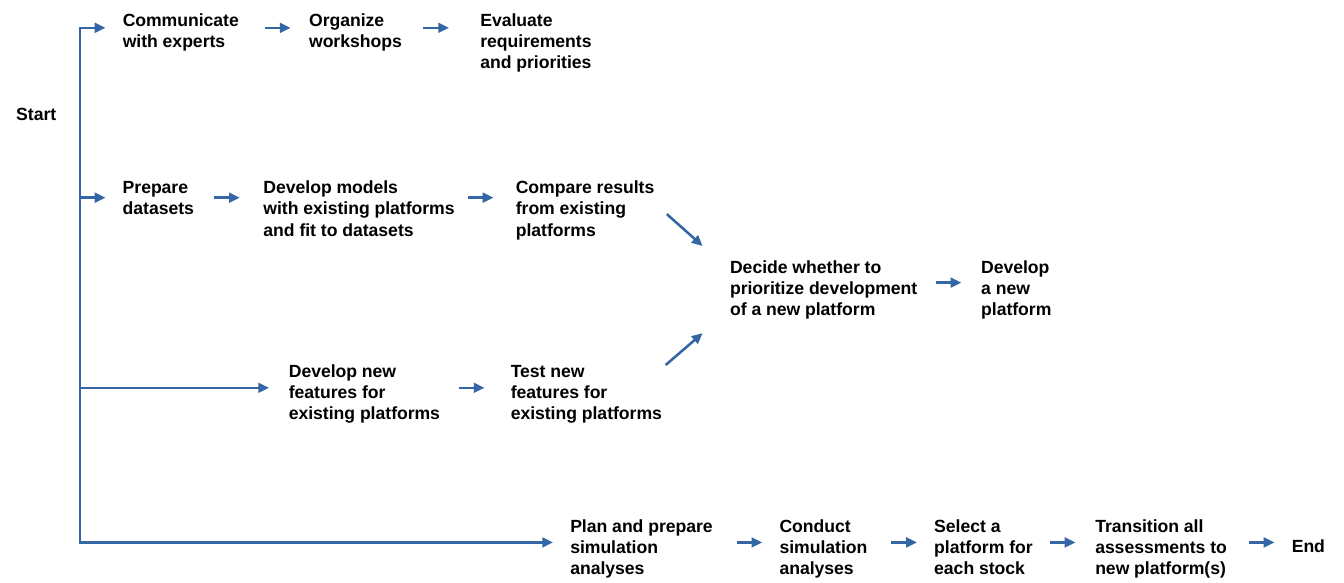
from dataclasses import dataclass

from pptx import Presentation
from pptx.dml.color import RGBColor as RGB
from pptx.enum.shapes import MSO_CONNECTOR as CONN
from pptx.enum.text import MSO_AUTO_SIZE as FIT
from pptx.oxml.ns import qn
from pptx.util import Inches, Pt
from lxml.etree import SubElement


@dataclass(frozen=True)
class Theme:
    font: str = "Arial"
    size: float = 10
    text: str = "000000"
    line: str = "3465A4"
    weight: float = 1.45


class Flow:
    """Draws the steps and arrows of a flow chart on one slide."""

    def __init__(self, slide, theme):
        self.s = slide
        self.theme = theme

    def step(self, left, top, width, text):
        lines = text.split("\n")
        height = 0.1 + 0.155 * len(lines)
        sp = self.s.shapes.add_textbox(*map(Inches, (left, top, width, height)))
        tf = sp.text_frame
        frame = {"word_wrap": False, "auto_size": FIT.SHAPE_TO_FIT_TEXT}
        for name, value in frame.items():
            setattr(tf, name, value)
        style = {"name": self.theme.font, "size": Pt(self.theme.size), "bold": True}
        for i, line in enumerate(lines):
            p = tf.add_paragraph() if i else tf.paragraphs[0]
            r = p.add_run()
            r.text = line
            for name, value in style.items():
                setattr(r.font, name, value)
            r.font.color.rgb = RGB.from_string(self.theme.text)

    def line(self, x1, y1, x2, y2, arrow=True):
        ends = map(Inches, (x1, y1, x2, y2))
        cx = self.s.shapes.add_connector(CONN.STRAIGHT, *ends)
        cx.line.width = Pt(self.theme.weight)
        cx.line.color.rgb = RGB.from_string(self.theme.line)
        if arrow:
            SubElement(cx.line._get_or_add_ln(), qn("a:tailEnd"), type="triangle")
        SubElement(cx._element.spPr, qn("a:effectLst"))

    def row(self, top, arrow_y, steps, arrows):
        for left, width, text in steps:
            self.step(left, top, width, text)
        for start, end in arrows:
            self.line(start, arrow_y, end, arrow_y)


TRUNK = 0.63
SHORT = 0.2


def short(*starts):
    return [(x, x + SHORT) for x in starts]


ROWS = [
    (0.02, 0.22, [
        (0.87, 1.15, "Communicate\nwith experts"),
        (2.34, 0.96, "Organize\nworkshops"),
        (3.69, 1.12, "Evaluate\nrequirements\nand priorities"),
    ], short(TRUNK, 2.09, 3.34)),
    (1.34, 1.56, [
        (0.87, 0.8, "Prepare\ndatasets"),
        (1.98, 1.74, "Develop models\nwith existing platforms\nand fit to datasets"),
        (3.97, 1.32, "Compare results\nfrom existing\nplatforms"),
    ], short(TRUNK, 1.69, 3.69)),
    (1.97, 2.23, [
        (5.66, 1.71, "Decide whether to\nprioritize development\nof a new platform"),
        (7.64, 0.78, "Develop\na new\nplatform"),
    ], short(7.38)),
    (2.79, 3.06, [
        (2.18, 1.42, "Develop new\nfeatures for\nexisting platforms"),
        (3.93, 1.42, "Test new\nfeatures for\nexisting platforms"),
    ], [(TRUNK, 2.12)] + short(3.62)),
    (4.01, 4.28, [
        (4.4, 1.4, "Plan and prepare\nsimulation\nanalyses"),
        (6.05, 0.92, "Conduct\nsimulation\nanalyses"),
        (7.27, 1.14, "Select a\nplatform for\neach stock"),
        (8.54, 1.3, "Transition all\nassessments to\nnew platform(s)"),
    ], [(TRUNK, 4.36)] + short(5.81, 7.03, 8.28, 9.85)),
]


def main():
    prs = Presentation()
    prs.slide_width, prs.slide_height = Inches(10.6), Inches(4.6)
    flow = Flow(prs.slides.add_slide(prs.slide_layouts[6]), Theme())
    flow.step(0.03, 0.76, 0.56, "Start")
    for row in ROWS:
        flow.row(*row)
    flow.step(10.09, 4.17, 0.49, "End")
    flow.line(5.26, 1.69, 5.54, 1.94)
    flow.line(5.25, 2.88, 5.54, 2.63)
    flow.line(TRUNK, 0.21, TRUNK, 4.29, arrow=False)
    prs.save("out.pptx")


if __name__ == "__main__":
    main()
